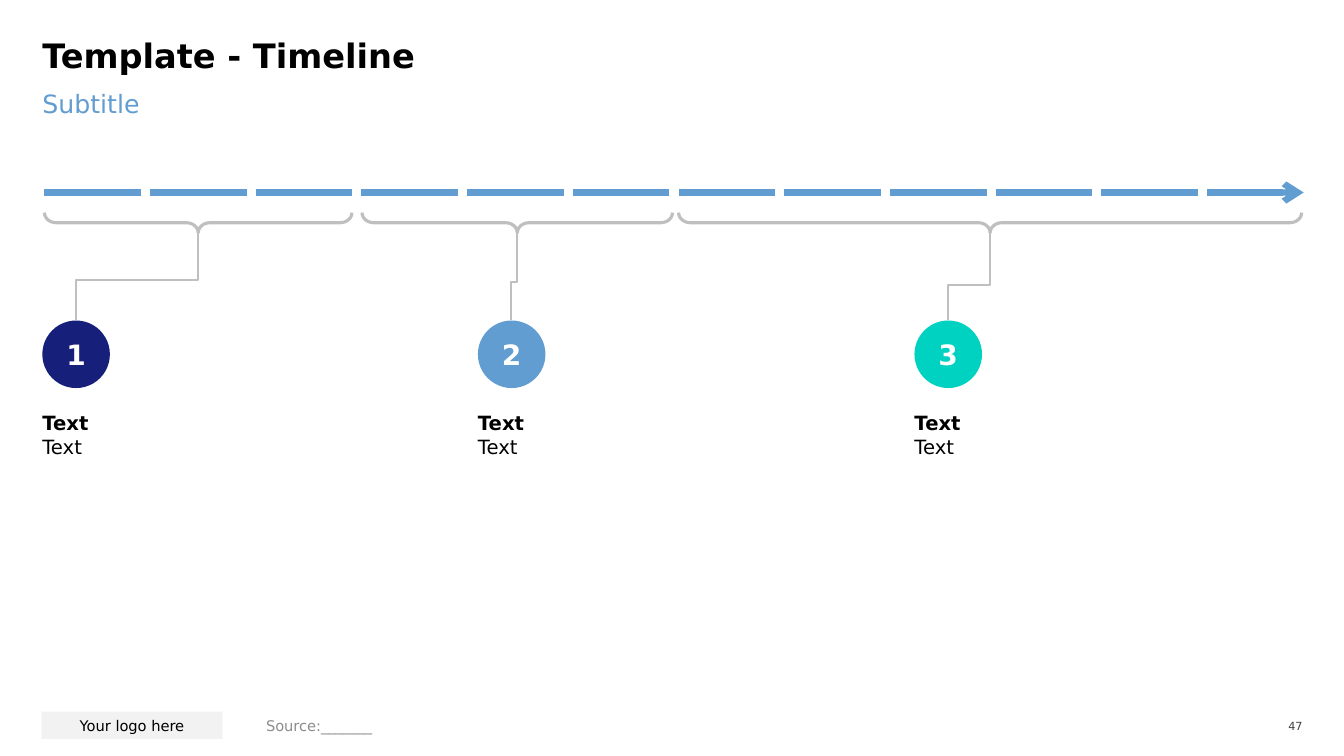
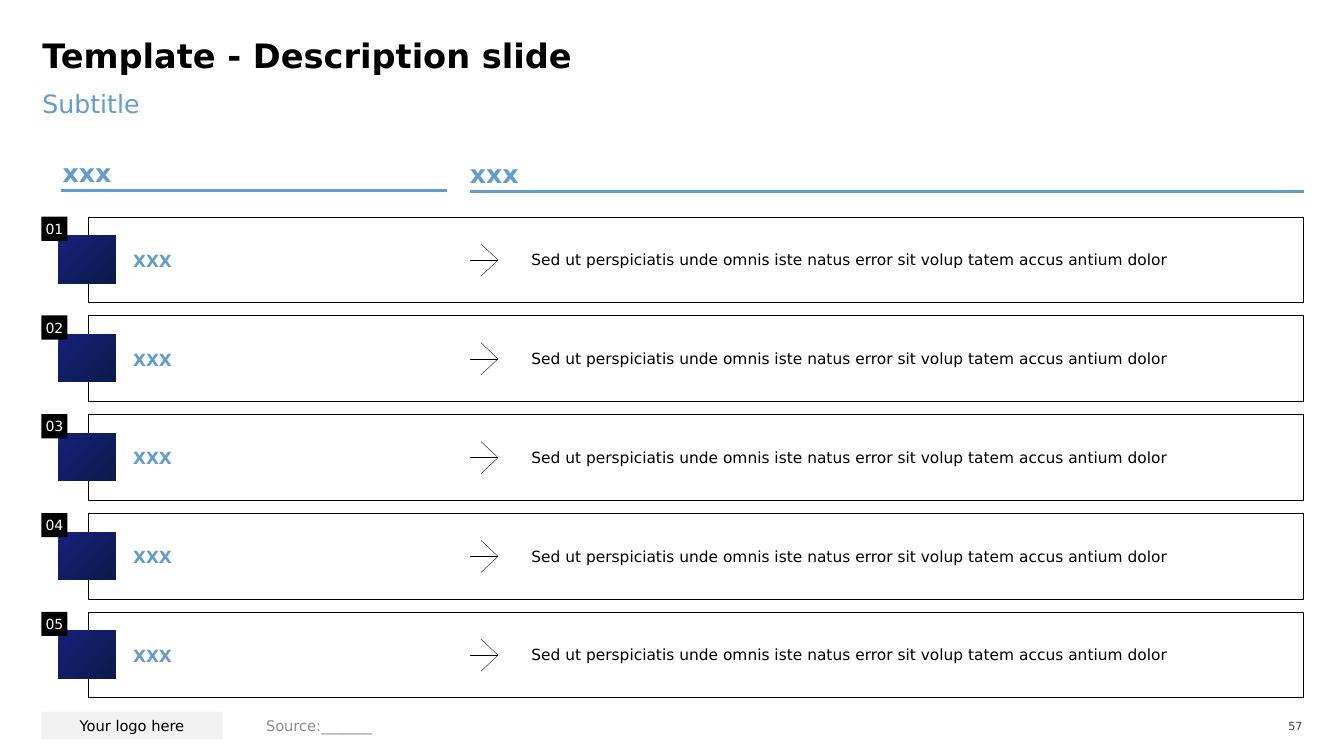
import lxml.etree
import pptx
import pptx.dml.color
import pptx.enum.shapes
import pptx.enum.text
import pptx.oxml.ns
import pptx.util

RGB = pptx.dml.color.RGBColor
SHAPE = pptx.enum.shapes.MSO_SHAPE
CONNECTOR = pptx.enum.shapes.MSO_CONNECTOR
ALIGN = pptx.enum.text.PP_ALIGN
ANCHOR = pptx.enum.text.MSO_ANCHOR
qn = pptx.oxml.ns.qn

FONT = "DejaVu Sans"
BLACK = RGB(0x00, 0x00, 0x00)
WHITE = RGB(0xFF, 0xFF, 0xFF)
BLUE = RGB(0x62, 0x9D, 0xD1)
NAVY = RGB(0x16, 0x20, 0x7B)
DEEP_NAVY = RGB(0x0A, 0x1A, 0x49)
TEAL = RGB(0x00, 0xD2, 0xC2)
LINE_GREY = RGB(0xBF, 0xBF, 0xBF)
LOGO_GREY = RGB(0xF2, 0xF2, 0xF2)
SOURCE_GREY = RGB(0x8C, 0x8C, 0x8C)
PAGE_GREY = RGB(0x40, 0x40, 0x40)

LEFT, RIGHT = 42, 1293
DESCRIPTION = ("Sed ut perspiciatis unde omnis iste natus error sit "
               "volup tatem accus antium dolor")


def px(n):
    """One inch is 100 px."""
    return pptx.util.Emu(int(n * 9144))


def write(shape, lines, size, color=BLACK, bold=(False,), align=ALIGN.LEFT,
          anchor=ANCHOR.TOP, insets=(0, 0, 0, 0)):
    tf = shape.text_frame
    tf.word_wrap = True
    tf.auto_size = pptx.enum.text.MSO_AUTO_SIZE.NONE
    tf.vertical_anchor = anchor
    (tf.margin_left, tf.margin_top,
     tf.margin_right, tf.margin_bottom) = map(px, insets)
    tf.text = "\n".join(lines)
    for p, is_bold in zip(tf.paragraphs, bold):
        p.alignment = align
        p.space_before = pptx.util.Pt(0)
        for r in p.runs:
            r.font.name = FONT
            r.font.size = pptx.util.Pt(size)
            r.font.bold = is_bold
            r.font.color.rgb = color
    return tf


def place(shape, left, top, width, height):
    shape.left, shape.top = px(left), px(top)
    shape.width, shape.height = px(width), px(height)


def add_text(s, box, text, size, **style):
    return write(s.shapes.add_textbox(*map(px, box)), [text], size, **style)


def add_box(s, box, fill=None, line=None, weight=0.25, kind=SHAPE.RECTANGLE):
    sp = s.shapes.add_shape(kind, *map(px, box))
    sp.shadow.inherit = False
    if fill is None:
        sp.fill.background()
    else:
        sp.fill.solid()
        sp.fill.fore_color.rgb = fill
    if line is None:
        sp.line.fill.background()
    else:
        sp.line.color.rgb = line
        sp.line.width = pptx.util.Pt(weight)
    return sp


def add_line(shapes, start, end, color, weight, kind=CONNECTOR.STRAIGHT, arrow=False):
    line = shapes.add_connector(kind, *map(px, (*start, *end)))
    line.line.color.rgb = color
    line.line.width = pptx.util.Pt(weight)
    spPr = line._element.spPr
    if arrow:
        lxml.etree.SubElement(spPr.find(qn("a:ln")), qn("a:tailEnd"), type="arrow")
    lxml.etree.SubElement(spPr, qn("a:effectLst"))
    return line


def add_elbow(s, start, end, bend):
    """Elbow rising from start to end, turning at the given share of its height."""
    (x1, y1), (x2, y2) = start, end
    mid_x, mid_y = (x1 + x2) / 2, (y1 + y2) / 2
    half_w, half_h = (y1 - y2) / 2, (x2 - x1) / 2
    # A quarter turn makes the first and last legs vertical
    line = add_line(s.shapes, (mid_x + half_w, mid_y + half_h),
                    (mid_x - half_w, mid_y - half_h), LINE_GREY, 1.5, CONNECTOR.ELBOW)
    spPr = line._element.spPr
    spPr.find(qn("a:xfrm")).set("rot", "5400000")
    geometry = spPr.find(qn("a:prstGeom"))
    guides = geometry.find(qn("a:avLst"))
    if guides is None:
        guides = lxml.etree.SubElement(geometry, qn("a:avLst"))
    lxml.etree.SubElement(guides, qn("a:gd"), name="adj1", fmla=f"val {bend * 1000}")


def add_brace(s, left, right, top, depth):
    """Brace that opens upwards, its tip pointing down."""
    span = right - left
    box = ((left + right - depth) / 2, top + (depth - span) / 2, depth, span)
    brace = add_box(s, box, line=LINE_GREY, weight=2.25, kind=SHAPE.RIGHT_BRACE)
    brace.adjustments[0] = 0.58
    brace.rotation = 90


def add_slide(prs, title, page):
    s = prs.slides.add_slide(prs.slide_layouts[1])
    heading, subtitle = s.placeholders

    # Title and subtitle
    place(heading, LEFT, 42, 1249, 53)
    tf = write(heading, [title], 24, bold=(True,))
    tf.paragraphs[0].line_spacing = 0.8
    place(subtitle, LEFT, 88, 1249, 63)
    tf = write(subtitle, ["Subtitle"], 18, BLUE)
    pPr = tf.paragraphs[0]._p.get_or_add_pPr()
    pPr.set("marL", "0")
    pPr.set("indent", "0")
    lxml.etree.SubElement(pPr, qn("a:buNone"))

    # Footer
    logo = add_box(s, (41, 706, 180, 27), LOGO_GREY)
    write(logo, ["Your logo here"], 10.5, align=ALIGN.CENTER,
          anchor=ANCHOR.MIDDLE, insets=(10, 10, 10, 10))
    add_text(s, (254, 707, 639, 26), "Source:_______", 10.5, color=SOURCE_GREY,
             anchor=ANCHOR.MIDDLE, insets=(10, 5, 10, 5))
    add_text(s, (1250, 709, 42, 23), page, 8, color=PAGE_GREY,
             align=ALIGN.RIGHT, anchor=ANCHOR.MIDDLE)
    return s


def timeline_slide(prs):
    s = add_slide(prs, "Template - Timeline", "47")

    # Dashed time axis
    count, start, gap = 12, 44, 9
    pitch = (RIGHT - start + gap) / count
    for i in range(count):
        x = start + i * pitch
        add_line(s.shapes, (x, 191), (x + pitch - gap, 191), BLUE, 4.5,
                 arrow=i == count - 1)

    # Phases: brace, elbow, numbered circle and text
    phases = [(44, 349, 46, NAVY), (359, 667, 44, BLUE), (673, 1291, 40, TEAL)]
    for i, (left, right, bend, color) in enumerate(phases):
        x = LEFT + round(i * 432.5)
        add_brace(s, left, right, 211, 20)
        add_elbow(s, (x + 33, 318), ((left + right) / 2, 231), bend)
        circle = add_box(s, (x, 318, 67, 67), color, kind=SHAPE.OVAL)
        write(circle, [str(i + 1)], 20, WHITE, (True,), ALIGN.CENTER, ANCHOR.MIDDLE)
        caption = s.shapes.add_textbox(px(x), px(408), px(386), px(47))
        write(caption, ["Text", "Text"], 14, bold=(True, False))


def add_thin_arrow(s, x, y):
    group = s.shapes.add_group_shape()
    tip = (x + 28, y)
    for tail in ((x + 11, y + 16), (x + 11, y - 16), (x, y)):
        add_line(group.shapes, tail, tip, BLACK, 0.25)


def add_row(s, top, number):
    add_box(s, (87, top, 1206, 85), line=BLACK)
    label = add_box(s, (132, top + 24, 302, 35), WHITE)
    write(label, ["XXX"], 12, BLUE, (True,), anchor=ANCHOR.MIDDLE,
          insets=(0, 12, 12, 8))
    add_text(s, (527, top + 34, 724, 17), DESCRIPTION, 11, anchor=ANCHOR.MIDDLE)

    tile = add_box(s, (58, top + 19, 57, 47), NAVY)
    tile.fill.gradient()
    tile.fill.gradient_angle = 315
    for stop, color, position in zip(tile.fill.gradient_stops,
                                     (NAVY, DEEP_NAVY), (0, 0.99)):
        stop.color.rgb = color
        stop.position = position

    badge = add_box(s, (41, top, 26, 24), BLACK)
    write(badge, [f"{number:02}"], 10, WHITE, align=ALIGN.CENTER, anchor=ANCHOR.MIDDLE)
    add_thin_arrow(s, 466, top + 43)


def description_slide(prs):
    s = add_slide(prs, "Template - Description slide", "57")

    # Column headings
    for text_x, left, right, y in ((62, 61, 443, 189), (466, 466, RIGHT, 190)):
        add_text(s, (text_x, y - 37, right - text_x, 34), "xxx", 18, color=BLUE,
                 bold=(True,), anchor=ANCHOR.BOTTOM)
        add_line(s.shapes, (left, y), (right, y), BLUE, 2.25)

    # Numbered rows
    for i in range(5):
        add_row(s, 215 + 98 * i, i + 1)


def main():
    prs = pptx.Presentation()
    prs.slide_width, prs.slide_height = px(1333), px(750)
    timeline_slide(prs)
    description_slide(prs)
    prs.save("out.pptx")


if __name__ == "__main__":
    main()
